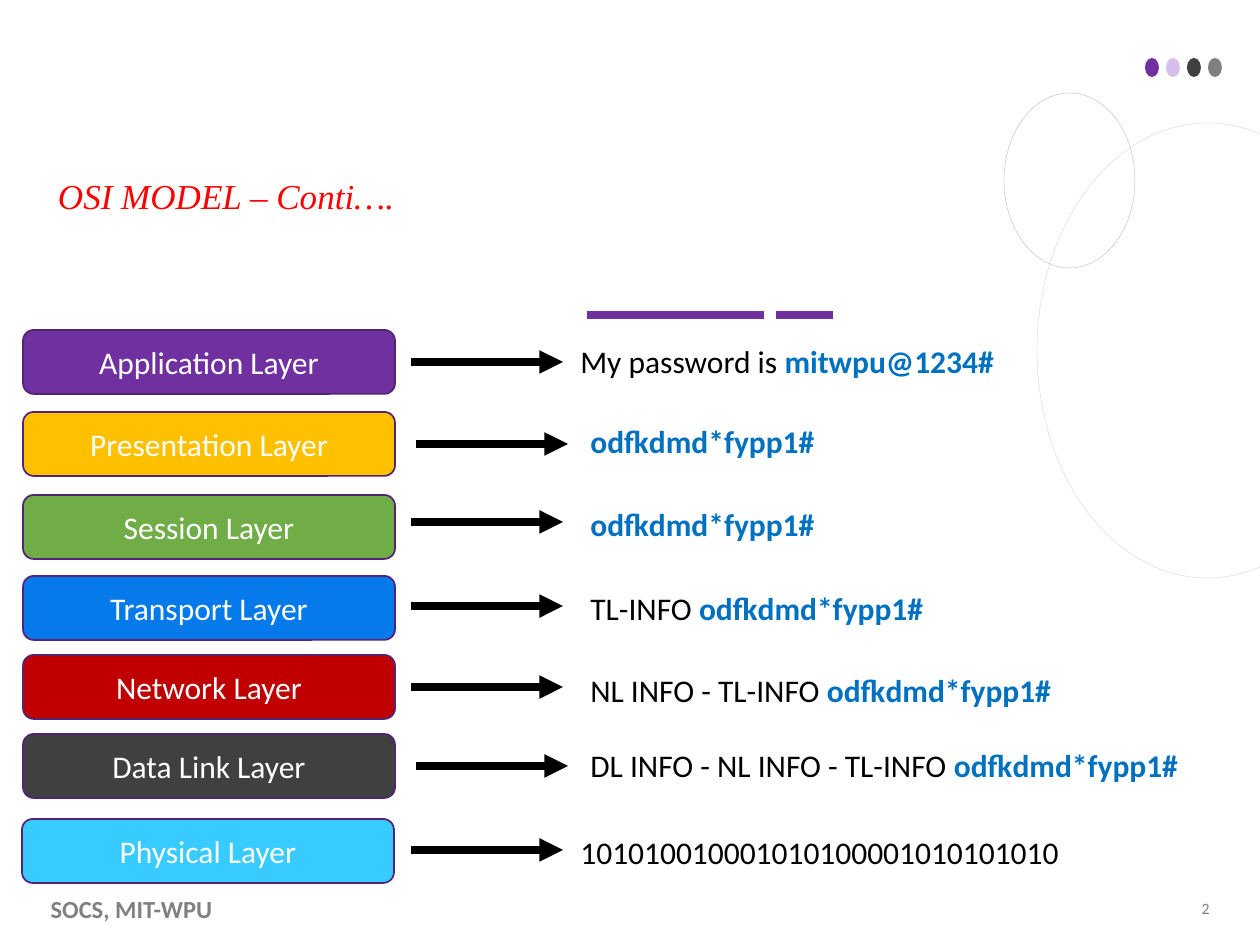
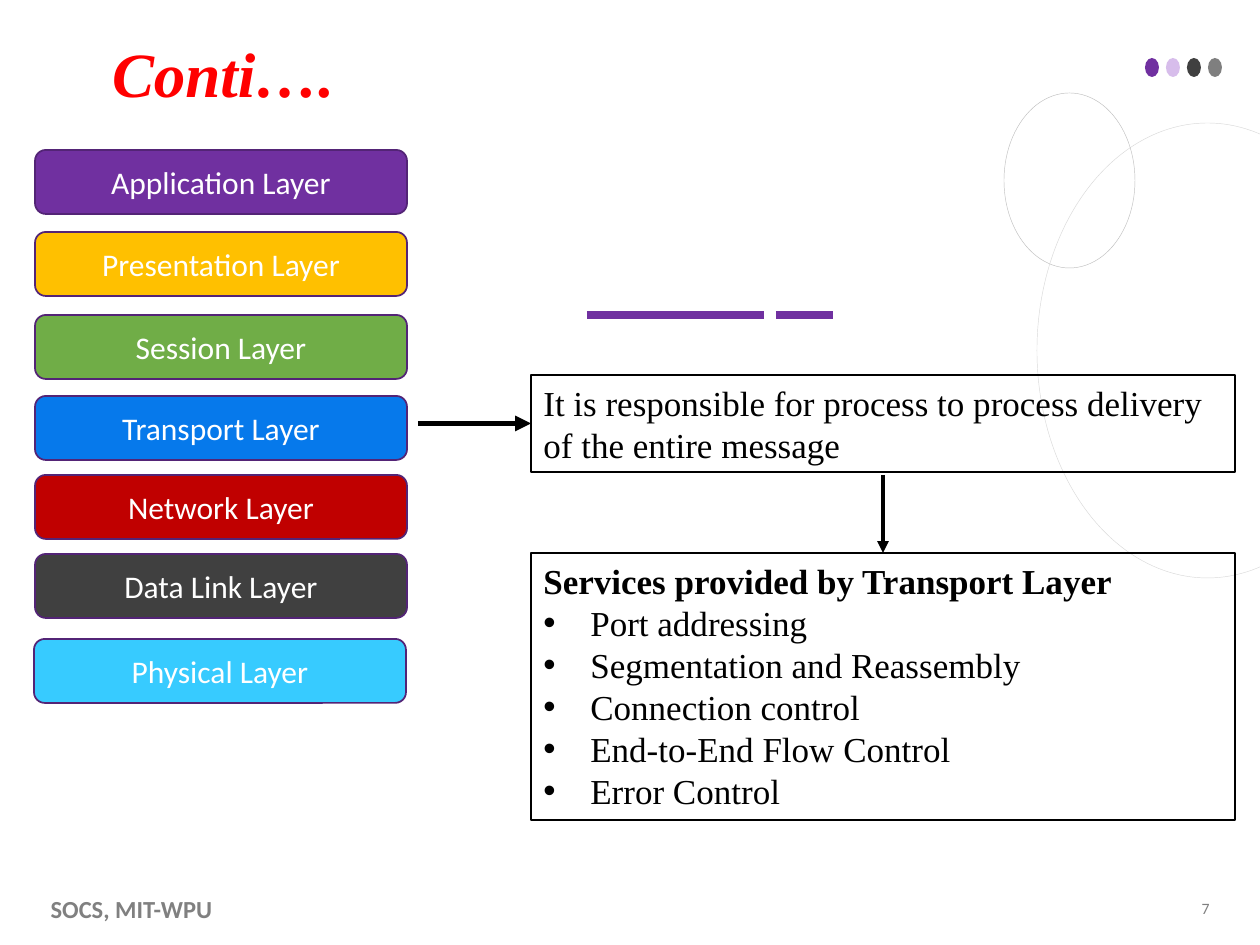
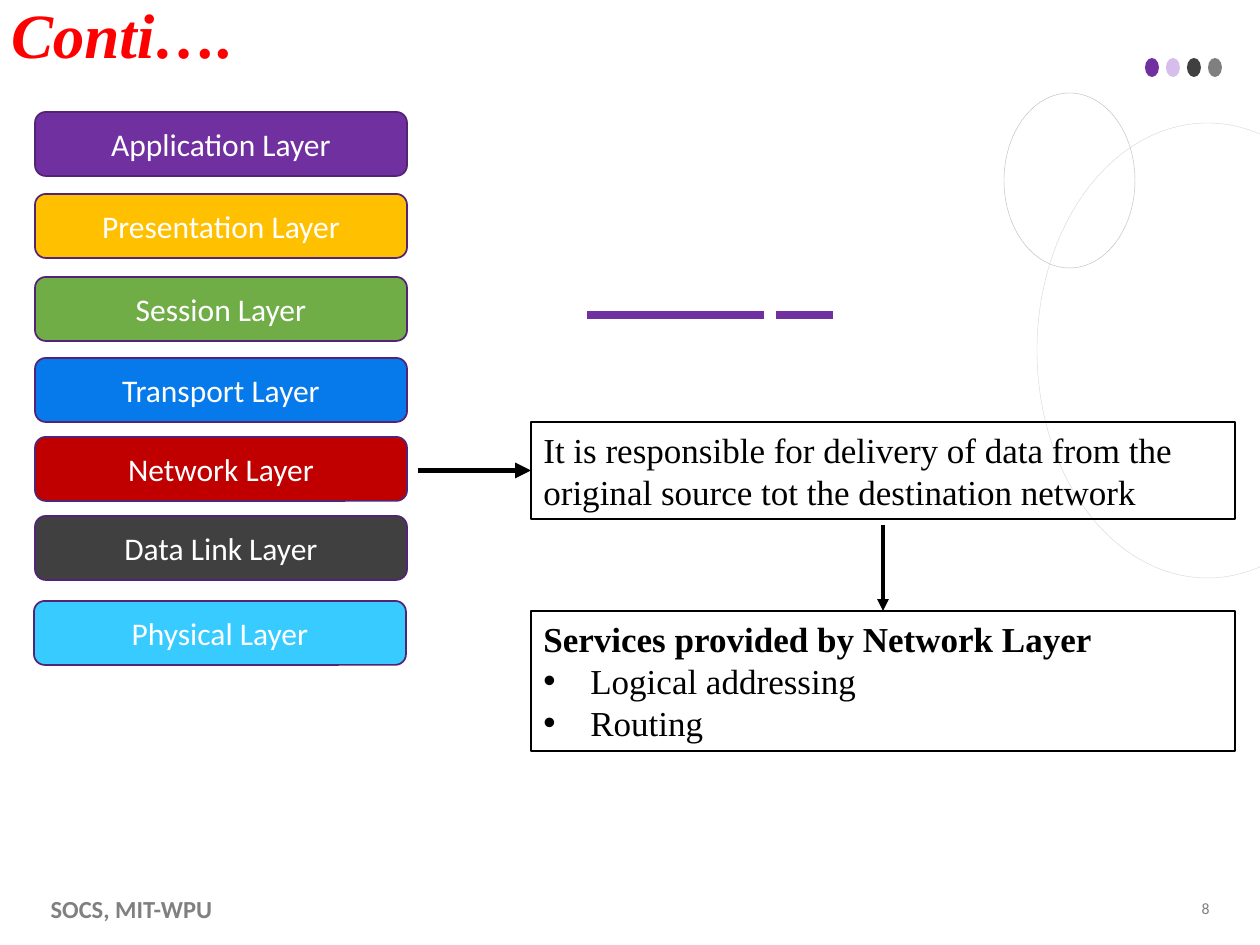
from lxml.etree import SubElement
from pptx import Presentation
from pptx.dml.color import RGBColor
from pptx.enum.shapes import MSO_CONNECTOR, MSO_SHAPE
from pptx.enum.text import MSO_ANCHOR, MSO_AUTO_SIZE, PP_ALIGN
from pptx.oxml.ns import qn
from pptx.util import Pt

SCALE = 914400 / 126
SANS, SERIF = "Calibri", "Times New Roman"
WHITE = RGBColor(0xFF, 0xFF, 0xFF)
BLACK = RGBColor(0x00, 0x00, 0x00)
RED = RGBColor(0xFF, 0x00, 0x00)
BLUE = RGBColor(0x00, 0x70, 0xC0)
PURPLE = RGBColor(0x70, 0x30, 0xA0)
PLUM = RGBColor(0x53, 0x24, 0x76)
LILAC = RGBColor(0xC7, 0xA2, 0xE3)
DARK = RGBColor(0x40, 0x40, 0x40)
GREY = RGBColor(0x7F, 0x7F, 0x7F)
FOOT = RGBColor(0x80, 0x80, 0x80)
SILVER = RGBColor(0xBF, 0xBF, 0xBF)
PALE = RGBColor(0xD9, 0xD9, 0xD9)
GOLD = RGBColor(0xFF, 0xC0, 0x00)
GREEN = RGBColor(0x70, 0xAD, 0x47)
AZURE = RGBColor(0x06, 0x79, 0xEB)
CRIMSON = RGBColor(0xC0, 0x00, 0x00)
SKY = RGBColor(0x37, 0xCB, 0xFF)

LAYERS = [
    ("Application", PURPLE, 0, 0),
    ("Presentation", GOLD, 0, 82),
    ("Session", GREEN, 0, 165),
    ("Transport", AZURE, 0, 246),
    ("Network", CRIMSON, 0, 325),
    ("Data Link", DARK, 0, 404),
    ("Physical", SKY, -1, 489),
]
CODE = "odfkdmd*fypp1#"
FLOWS = [
    (411, 362, 568, 336, 494, "My password is ", "mitwpu@1234#"),
    (416, 444, 578, 416, 494, "", CODE),
    (411, 522, 578, 499, 494, "", CODE),
    (411, 606, 578, 583, 494, "TL-INFO ", CODE),
    (411, 687, 578, 665, 494, "NL INFO - TL-INFO ", CODE),
    (416, 766, 578, 740, 682, "DL INFO - NL INFO - TL-INFO ", CODE),
    (411, 850, 568, 827, 572, "101010010001010100001010101010", ""),
]


def px(*sizes):
    """Turn pixel lengths into EMU."""
    return [round(size * SCALE) for size in sizes]


def style(para, size, color, name=SANS, bold=False, slant=False):
    """Format every run of a paragraph."""
    for run in para.runs:
        font = run.font
        font.name, font.size = name, Pt(size)
        font.bold, font.italic = bold, slant
        font.color.rgb = color


def place(shape, left, top, width, height):
    """Move and size a shape."""
    shape.left, shape.top, shape.width, shape.height = px(left, top, width, height)


def add_form(shapes, kind, area, fill=None, edge=None, weight=1):
    """Add a flat preset shape."""
    form = shapes.add_shape(kind, *px(*area))
    form.shadow.inherit = False
    if fill is None:
        form.fill.background()
    else:
        form.fill.solid()
        form.fill.fore_color.rgb = fill
    if edge is None:
        form.line.fill.background()
    else:
        form.line.color.rgb = edge
        form.line.width = Pt(weight)
    return form


def add_line(slide, start, end, color, weight, arrow=False):
    """Add a straight line, with an arrowhead if asked."""
    line = slide.shapes.add_connector(MSO_CONNECTOR.STRAIGHT, *px(*start, *end))
    line.line.color.rgb = color
    line.line.width = Pt(weight)
    props = line.element.spPr
    if arrow:
        SubElement(props.find(qn("a:ln")), qn("a:tailEnd"), type="triangle")
    SubElement(props, qn("a:effectLst"))
    return line


def add_label(slide, left, top, width, height):
    """Add a wrapping text box and return its frame."""
    frame = slide.shapes.add_textbox(*px(left, top, width, height)).text_frame
    frame.word_wrap = True
    return frame


def add_title(slide, text, left, top, size, bold):
    """Fill the title placeholder."""
    title = slide.shapes.title
    place(title, left, top, 813, 81)
    frame = title.text_frame
    frame.text = text
    frame.auto_size = MSO_AUTO_SIZE.NONE
    frame.vertical_anchor = MSO_ANCHOR.BOTTOM
    frame.margin_left = frame.margin_right = 0
    frame.margin_top = frame.margin_bottom = 0
    para = frame.paragraphs[0]
    para.alignment = PP_ALIGN.LEFT
    para.line_spacing = 0.9
    style(para, size, RED, SERIF, bold, True)


def add_foot(slide, number):
    """Fill the footer and the slide number."""
    body = slide.placeholders[1]
    place(body, 38, 891, 234, 34)
    frame = body.text_frame
    frame.text = "SOCS, MIT-WPU"
    frame.auto_size = MSO_AUTO_SIZE.NONE
    para = frame.paragraphs[0]
    props = para._p.get_or_add_pPr()
    props.set("marL", "0")
    props.set("indent", "0")
    SubElement(props, qn("a:buNone"))
    para.line_spacing = 0.9
    para.space_before = Pt(0)
    style(para, 14, FOOT, bold=True)
    frame = add_label(slide, 939, 891, 283, 34)
    frame.text = str(number)
    frame.vertical_anchor = MSO_ANCHOR.MIDDLE
    frame.paragraphs[0].alignment = PP_ALIGN.RIGHT
    style(frame.paragraphs[0], 9, GREY)


def add_decor(slide):
    """Draw the bars, dots and rings."""
    for start, end in ((587, 764), (776, 833)):
        add_line(slide, (start, 315), (end, 315), PURPLE, 4.5)
    group = slide.shapes.add_group_shape()
    for place_no, color in enumerate((PURPLE, LILAC, DARK, GREY)):
        area = (1145 + 21 * place_no, 58, 14, 19)
        dot = add_form(group.shapes, MSO_SHAPE.OVAL, area, color)
        if color == LILAC:
            tint = dot.element.spPr.find(qn("a:solidFill"))[0]
            SubElement(tint, qn("a:alpha"), val="70000")
    rings = (((1037, 123, 341, 455), PALE), ((1004, 93, 131, 175), SILVER))
    for area, color in rings:
        add_form(slide.shapes, MSO_SHAPE.OVAL, area, edge=color, weight=0.25)


def add_stack(slide, left, top):
    """Draw the seven layers as a column."""
    for name, color, shift, drop in LAYERS:
        area = (left + shift, top + drop, 372, 64)
        box = add_form(slide.shapes, MSO_SHAPE.ROUNDED_RECTANGLE, area, color, PLUM)
        frame = box.text_frame
        frame.text = f"{name} Layer"
        frame.vertical_anchor = MSO_ANCHOR.MIDDLE
        frame.paragraphs[0].alignment = PP_ALIGN.CENTER
        style(frame.paragraphs[0], 18, WHITE)


def add_flow(slide, start, level, left, top, width, plain, secret):
    """Draw an arrow and the data that leaves a layer."""
    add_line(slide, (start, level), (start + 152, level), BLACK, 4.5, True)
    para = add_label(slide, left, top, width, 50).paragraphs[0]
    for text in filter(None, (plain, secret)):
        para.add_run().text = text
    style(para, 18, BLACK)
    if secret:
        font = para.runs[-1].font
        font.bold = True
        font.color.rgb = BLUE


def add_box(slide, top, height, head, items=()):
    """Add an outlined box with a text and perhaps a list."""
    area = (531, top, 704, height)
    box = add_form(slide.shapes, MSO_SHAPE.RECTANGLE, area, edge=BLACK, weight=0.75)
    frame = box.text_frame
    frame.word_wrap = True
    frame.auto_size = MSO_AUTO_SIZE.SHAPE_TO_FIT_TEXT
    frame.vertical_anchor = MSO_ANCHOR.TOP
    frame.text = "\n".join((head, *items))
    indent = px(47)[0]
    for row, para in enumerate(frame.paragraphs):
        para.alignment = PP_ALIGN.LEFT
        if row:
            props = para._p.get_or_add_pPr()
            props.set("marL", str(indent))
            props.set("indent", str(-indent))
            SubElement(props, qn("a:buFont"), typeface="Arial")
            SubElement(props, qn("a:buChar"), char="•")
        style(para, 20, BLACK, SERIF, bold=bool(items) and not row)
    return box


def add_role(slide, name, role, top, gap, list_top, list_height, items):
    """Explain one layer and list its services."""
    duty = add_box(slide, top, 97, role)
    head = f"Services provided by {name} Layer"
    tasks = add_box(slide, list_top, list_height, head, items)
    level = top + 48.5
    line = add_line(slide, (418, level), (531, level), BLACK, 3, True)
    line.end_connect(duty, 1)
    start = top + 97 + gap
    line = add_line(slide, (883, start), (883, list_top), BLACK, 2.25, True)
    line.end_connect(tasks, 0)


def add_page(deck, number, title, left, top, size=36, bold=True):
    """Add a slide with everything the slides share."""
    slide = deck.slides.add_slide(deck.slide_layouts[1])
    add_decor(slide)
    add_foot(slide, number)
    add_title(slide, title, left, top, size, bold)
    return slide


def main():
    """Build the deck."""
    deck = Presentation()
    deck.slide_width, deck.slide_height = px(1260, 945)

    slide = add_page(deck, 2, "OSI MODEL – Conti….", 58, 136, 20, False)
    add_stack(slide, 23, 330)
    for flow in FLOWS:
        add_flow(slide, *flow)

    slide = add_page(deck, 7, "Conti….", 112, 30)
    add_stack(slide, 35, 150)
    role = "It is responsible for process to process delivery of the entire message"
    items = ("Port addressing", "Segmentation and Reassembly", "Connection control",
             "End-to-End Flow Control", "Error Control")
    add_role(slide, "Transport", role, 375, 3, 553, 267, items)

    slide = add_page(deck, 8, "Conti….", 11, -9)
    add_stack(slide, 35, 112)
    role = ("It is responsible for delivery of data from the original source "
            "tot the destination network")
    items = ("Logical addressing", "Routing")
    add_role(slide, "Network", role, 422, 6, 611, 140, items)

    deck.save("out.pptx")


if __name__ == "__main__":
    main()
